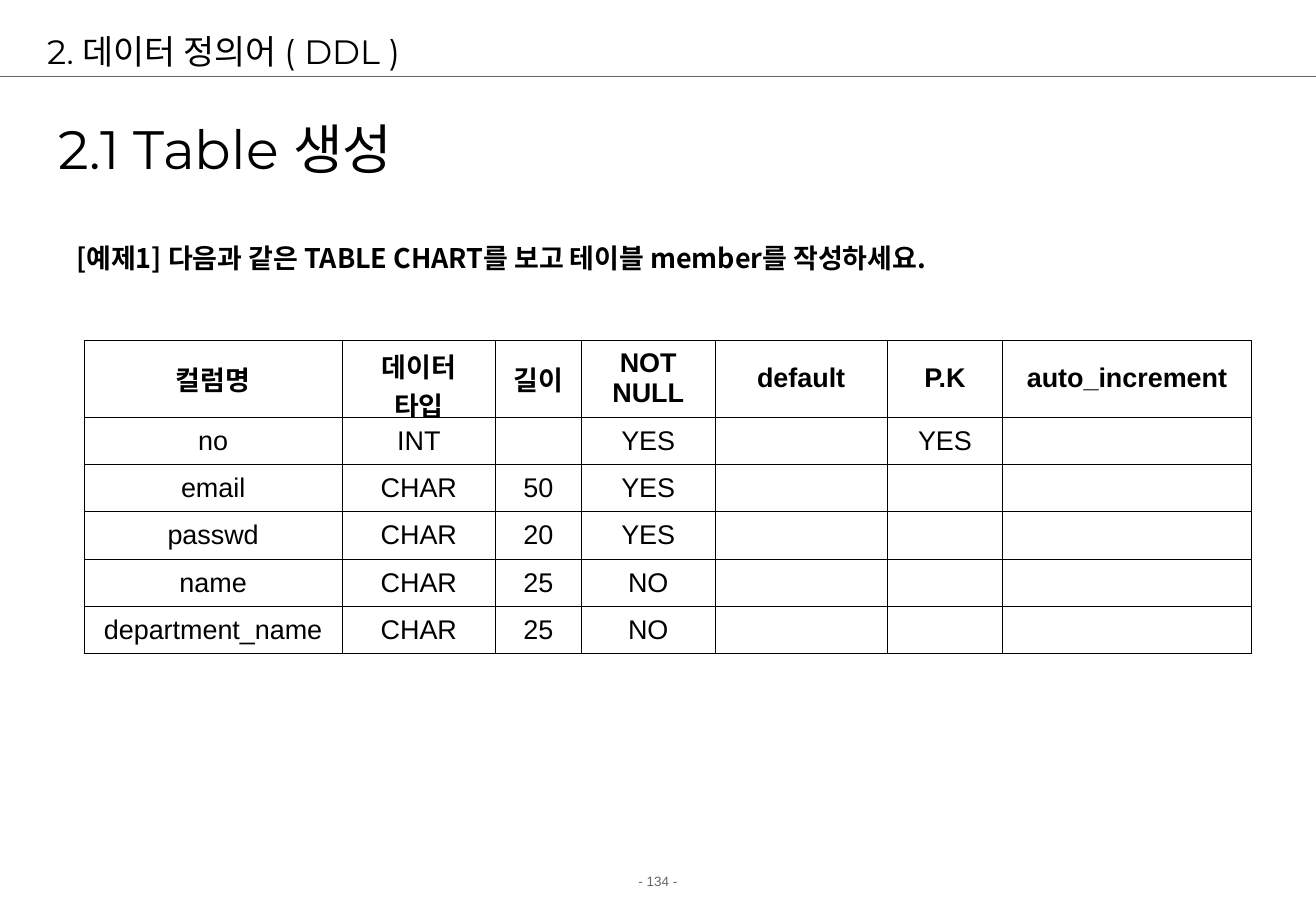
from lxml import etree
from pptx import Presentation, util as u
from pptx.dml.color import RGBColor
from pptx.enum import shapes, text
from pptx.oxml.ns import qn

BLACK = RGBColor(0x00, 0x00, 0x00)
GRAY = RGBColor(0x66, 0x66, 0x66)
WHITE = RGBColor(0xFF, 0xFF, 0xFF)
KOREAN = "Noto Sans CJK KR"
LEFT, CENTER = text.PP_ALIGN.LEFT, text.PP_ALIGN.CENTER
TOP, MIDDLE = text.MSO_ANCHOR.TOP, text.MSO_ANCHOR.MIDDLE

deck = Presentation()
deck.slide_width, deck.slide_height = u.Inches(10.84), u.Inches(7.5)
page = deck.slides.add_slide(deck.slide_layouts[6])
# All lengths below are percentages of the slide's width or height.
X, Y = deck.slide_width / 100, deck.slide_height / 100


def style(para, font, size, bold=False, color=BLACK, align=LEFT):
    """Set the look of a paragraph, with a Korean font for Hangul."""
    para.alignment = align
    para.font.name, para.font.size = font, u.Pt(size)
    para.font.bold = bold
    para.font.color.rgb = color
    properties = para._p.pPr.find(qn("a:defRPr"))
    etree.SubElement(properties, qn("a:ea"), typeface=KOREAN)


def border(cell, width=0.34):
    """Draw a thin black line on all four sides of a cell."""
    properties = cell._tc.get_or_add_tcPr()
    for side in "LRTB":
        line = etree.SubElement(properties, qn(f"a:ln{side}"), w=str(u.Pt(width)))
        fill = etree.SubElement(line, qn("a:solidFill"))
        etree.SubElement(fill, qn("a:srgbClr"), val=str(BLACK))


# Page number, header, section title and exercise
TEXTS = [
    ("- 134 -", (0, 95.2, 100, 3.2), TOP, 5, ("Arial", 8, False, GRAY, CENTER)),
    ("2. 데이터 정의어 ( DDL )", (2.68, 2.8, 93.82, 5.6), MIDDLE, 0, ("Montserrat", 20)),
    ("2.1 Table 생성", (3.51, 10.13, 78.41, 12.27), MIDDLE, 0, ("Montserrat", 32)),
    ("[예제1] 다음과 같은 TABLE CHART를 보고 테이블 member를 작성하세요.",
     (4.89, 25.87, 92.99, 7.33), TOP, 5, (KOREAN, 16, True)),
]
for wording, (left, top, width, height), anchor, space, look in TEXTS:
    box = page.shapes.add_textbox(
        int(left * X), int(top * Y), int(width * X), int(height * Y))
    frame = box.text_frame
    frame.word_wrap = True
    frame.vertical_anchor = anchor
    para = frame.paragraphs[0]
    para.text = wording
    para.space_before = u.Pt(space)
    style(para, *look)

# Rule under the header
rule = page.shapes.add_connector(
    shapes.MSO_CONNECTOR.STRAIGHT, 0, int(8.4 * Y), deck.slide_width, int(8.4 * Y))
rule.line.color.rgb = GRAY
rule.line.width = u.Pt(0.74)
etree.SubElement(rule._element.spPr, qn("a:effectLst"))

# Definition of the member table
ROWS = [
    ("컬럼명", "데이터 타입", "길이", "NOT NULL", "default", "P.K", "auto_increment"),
    ("no", "INT", "", "YES", "", "YES", ""),
    ("email", "CHAR", "50", "YES", "", "", ""),
    ("passwd", "CHAR", "20", "YES", "", "", ""),
    ("name", "CHAR", "25", "NO", "", "", ""),
    ("department_name", "CHAR", "25", "NO", "", "", ""),
]
COLUMN_WIDTHS = [19.65, 11.62, 6.55, 10.15, 13.1, 8.76, 18.91]
HEADER_HEIGHT, ROW_HEIGHT = 8.4, 5.2
table_height = HEADER_HEIGHT + ROW_HEIGHT * (len(ROWS) - 1)
table = page.shapes.add_table(
    len(ROWS), len(COLUMN_WIDTHS), int(6.37 * X), int(37.33 * Y),
    int(sum(COLUMN_WIDTHS) * X), int(table_height * Y)).table
table.first_row = table.horz_banding = False
for column, width in zip(table.columns, COLUMN_WIDTHS):
    column.width = int(width * X)
for number, values in enumerate(ROWS):
    header = number == 0
    table.rows[number].height = int((HEADER_HEIGHT if header else ROW_HEIGHT) * Y)
    for cell, value in zip(table.rows[number].cells, values):
        border(cell)
        cell.fill.solid()
        cell.fill.fore_color.rgb = WHITE
        cell.vertical_anchor = MIDDLE
        para = cell.text_frame.paragraphs[0]
        if value:
            para.text = value
        style(para, "Arial", 16, header, BLACK, CENTER)

deck.save("out.pptx")
